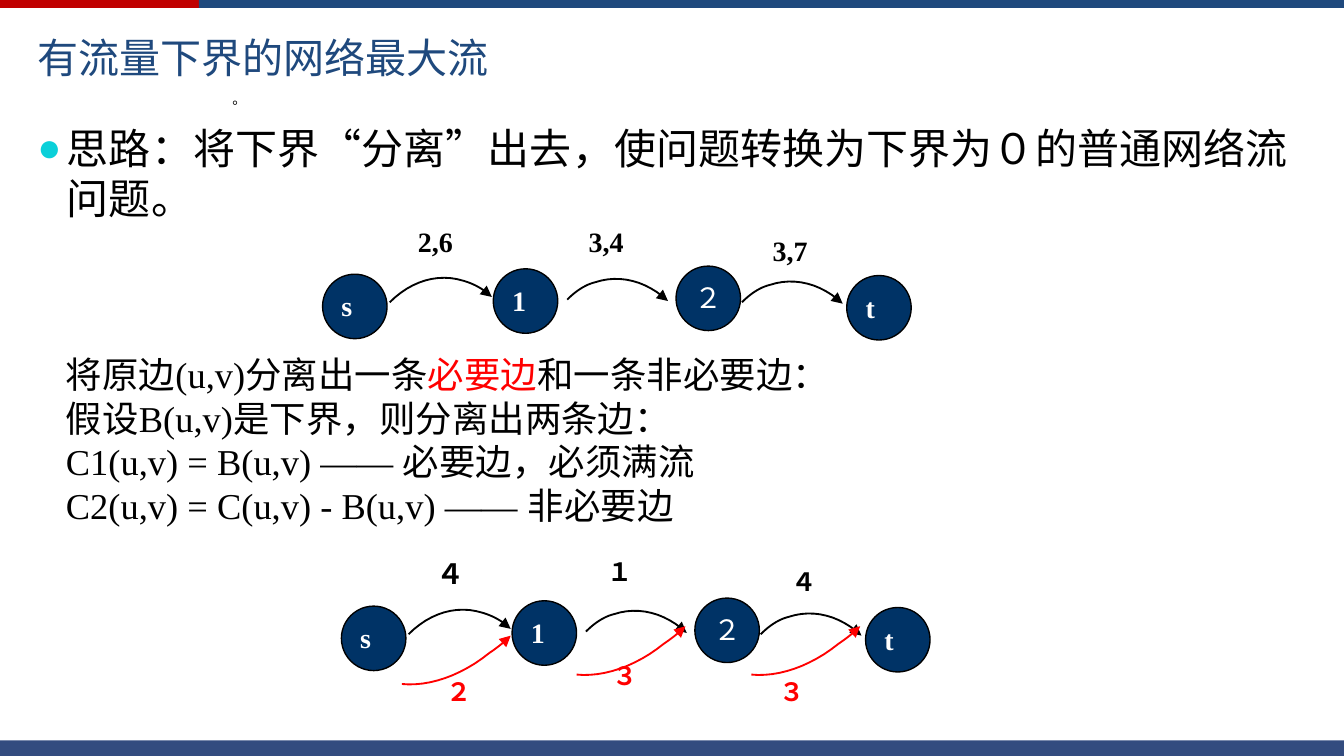
import pptx
import pptx.dml.color
import pptx.enum.shapes
import pptx.enum.text
import pptx.oxml
import pptx.oxml.ns
import pptx.util
from pptx.util import Inches

COLORS = {
    "red_bar": "C00000", "blue": "1F497D", "navy": "002060", "node": "003366",
    "bullet": "0BD0D9", "black": "000000", "white": "FFFFFF", "red": "FF0000",
}
LATIN = "Times New Roman"
CJK = "Noto Sans CJK SC"
NODE_SIZE = 0.48
LOWER_OFFSET = (0.14, 2.47)

# Nodes: label, left, top, font, bold
NODES = [("s", 2.4, 2.04, LATIN, True), ("1", 3.67, 2, LATIN, True),
         ("２", 5.03, 1.98, "Arial", False), ("t", 6.3, 2.05, LATIN, True)]

# Two joined Bezier curves each, relative to the start point
FIRST_ARC = [(0, 0), (0.16, -0.16), (0.36, -0.22), (0.55, -0.16),
             (0.62, -0.14), (0.7, -0.1), (0.76, -0.04)]
NEXT_ARC = [(0, 0), (0.06, -0.06), (0.13, -0.11), (0.21, -0.13),
            (0.39, -0.19), (0.59, -0.14), (0.75, 0.01)]
REQUIRED_ARC = [(0, 0), (0.2, 0.02), (0.44, -0.06), (0.65, -0.23),
                (0.71, -0.27), (0.76, -0.31), (0.81, -0.36)]
ARCS = [(2.9, 2.25, FIRST_ARC), (4.22, 2.23, NEXT_ARC), (5.52, 2.25, NEXT_ARC)]
LABEL_PLACES = [(3.04, 1.63), (4.31, 1.63), (5.68, 1.7)]


def rgb(name):
    return pptx.dml.color.RGBColor.from_string(COLORS[name])


def add_xml(parent, tag, **attributes):
    element = parent.makeelement(pptx.oxml.ns.qn(tag), attributes)
    parent.append(element)
    return element


def format_run(run, size, color="black", font=LATIN, bold=False):
    run.font.size = pptx.util.Pt(size)
    run.font.name = font
    run.font.bold = bold
    run.font.color.rgb = rgb(color)
    add_xml(run._r.get_or_add_rPr(), "a:ea", typeface=CJK)


def set_frame(frame, side=0.07, edge=0.04):
    frame.word_wrap = True
    frame.vertical_anchor = pptx.enum.text.MSO_ANCHOR.TOP
    frame.margin_left = frame.margin_right = Inches(side)
    frame.margin_top = frame.margin_bottom = Inches(edge)


def add_text(slide, text, left, top, width, height, size, **style):
    box = slide.shapes.add_textbox(Inches(left), Inches(top), Inches(width), Inches(height))
    set_frame(box.text_frame)
    box.text_frame.text = text
    for paragraph in box.text_frame.paragraphs:
        for run in paragraph.runs:
            format_run(run, size, **style)
    return box


def add_preset(slide, kind, left, top, width, height, color):
    shape = slide.shapes.add_shape(kind, Inches(left), Inches(top), Inches(width), Inches(height))
    shape.shadow.inherit = False
    shape.fill.solid()
    shape.fill.fore_color.rgb = rgb(color)
    shape.line.fill.background()
    return shape


def add_bars(slide):
    rectangle = pptx.enum.shapes.MSO_SHAPE.RECTANGLE
    add_preset(slide, rectangle, 0, 0, 10, 0.06, "red_bar")
    add_preset(slide, rectangle, 1.48, 0, 8.52, 0.06, "blue")
    footer = add_preset(slide, rectangle, 0, 5.51, 10, 0.12, "navy")
    fill_color = footer._element.spPr.find(".//" + pptx.oxml.ns.qn("a:srgbClr"))
    add_xml(fill_color, "a:alpha", val="80000")


def add_title(slide):
    title = slide.shapes.title
    title.left, title.top = Inches(0.18), Inches(0.19)
    title.width, title.height = Inches(6.75), Inches(0.94)
    set_frame(title.text_frame, 0.1, 0.05)
    title.text_frame.text = "有流量下界的网络最大流"
    paragraph = title.text_frame.paragraphs[0]
    paragraph.alignment = pptx.enum.text.PP_ALIGN.LEFT
    format_run(paragraph.runs[0], 22, "blue", CJK)


def add_idea(slide):
    text = "思路：将下界“分离”出去，使问题转换为下界为０的普通网络流问题。"
    box = add_text(slide, text, 0.18, 0.86, 9.53, 0.82, 22.5)
    set_frame(box.text_frame, 0.1, 0.05)
    properties = box.text_frame.paragraphs[0]._p.get_or_add_pPr()
    indent = Inches(0.22)
    properties.set("marL", str(indent))
    properties.set("indent", str(-indent))
    bullet_color = add_xml(properties, "a:buClr")
    add_xml(bullet_color, "a:srgbClr", val=COLORS["bullet"])
    add_xml(properties, "a:buSzPct", val="95000")
    add_xml(properties, "a:buFont", typeface="Arial")
    add_xml(properties, "a:buChar", char="●")


def add_explanation(slide):
    lines = ["假设B(u,v)是下界，则分离出两条边：",
             "C1(u,v) = B(u,v) —— 必要边，必须满流",
             "C2(u,v) = C(u,v) - B(u,v) —— 非必要边"]
    box = add_text(slide, "\n".join([""] + lines), 0.42, 2.58, 9.21, 2.04, 19.5)
    first = box.text_frame.paragraphs[0]
    for text, color in [("将原边(u,v)分离出一条", "black"), ("必要边", "red"),
                        ("和一条非必要边：", "black")]:
        run = first.add_run()
        run.text = text
        format_run(run, 19.5, color)


def add_node(slide, label, left, top, font, bold):
    node = add_preset(slide, pptx.enum.shapes.MSO_SHAPE.OVAL, left, top,
                      NODE_SIZE, NODE_SIZE, "node")
    node.line.color.rgb = rgb("black")
    node.line.width = pptx.util.Pt(0.75)
    set_frame(node.text_frame)
    node.text_frame.text = label
    paragraph = node.text_frame.paragraphs[0]
    paragraph.alignment = pptx.enum.text.PP_ALIGN.LEFT
    format_run(paragraph.runs[0], 15, "white", font, bold)


def curve_points(controls, steps=12):
    """Sample joined cubic Bezier curves."""
    points = [controls[0]]
    for first in range(0, len(controls) - 1, 3):
        segment = controls[first:first + 4]
        for step in range(1, steps + 1):
            t = step / steps
            weights = [(1 - t) ** 3, 3 * t * (1 - t) ** 2, 3 * t ** 2 * (1 - t), t ** 3]
            points.append(tuple(sum(w * p[axis] for w, p in zip(weights, segment))
                                for axis in (0, 1)))
    return points


def add_arc(slide, left, top, controls, color="black"):
    points = [(Inches(left + x), Inches(top + y)) for x, y in curve_points(controls)]
    builder = slide.shapes.build_freeform(*points[0])
    builder.add_line_segments(points[1:], close=False)
    arc = builder.convert_to_shape()
    arc.shadow.inherit = False
    arc.fill.background()
    arc.line.color.rgb = rgb(color)
    arc.line.width = pptx.util.Pt(1)
    add_xml(arc.line._get_or_add_ln(), "a:tailEnd", type="triangle")


def add_network(slide, labels, offset=(0, 0)):
    """Draw the four nodes, their arcs and labels given as (text, size, font)."""
    dx, dy = offset
    for label, left, top, font, bold in NODES:
        add_node(slide, label, left + dx, top + dy, font, bold)
    for left, top, controls in ARCS:
        add_arc(slide, left + dx, top + dy, controls)
    for (left, top), (text, size, font) in zip(LABEL_PLACES, labels):
        add_text(slide, text, left + dx, top + dy, 0.64, 0.41, size, font=font, bold=True)


def add_required_edges(slide):
    for left, top in [(2.99, 5.09), (4.29, 5.02), (5.59, 5.02)]:
        add_arc(slide, left, top, REQUIRED_ARC, "red")
    for text, left, top in [("２", 3.25, 4.99), ("３", 4.49, 4.87), ("３", 5.73, 4.99)]:
        add_text(slide, text, left, top, 0.62, 0.41, 13.5,
                 color="red", font="Arial", bold=True)


def main():
    presentation = pptx.Presentation()
    presentation.slide_width = Inches(10)
    presentation.slide_height = Inches(10 * 9 / 16)
    slide = presentation.slides.add_slide(presentation.slide_layouts[5])
    add_bars(slide)
    add_title(slide)
    add_idea(slide)
    add_network(slide, [(text, 15, LATIN) for text in ("2,6", "3,4", "3,7")])
    add_network(slide, [("４", 15, "Arial"), ("１", 13.5, "Arial"), ("４", 13.5, "Arial")],
                LOWER_OFFSET)
    add_required_edges(slide)
    add_explanation(slide)
    add_text(slide, "。", 1.66, 0.63, 0.26, 0.2, 7.5)
    presentation.save("out.pptx")


if __name__ == "__main__":
    main()
